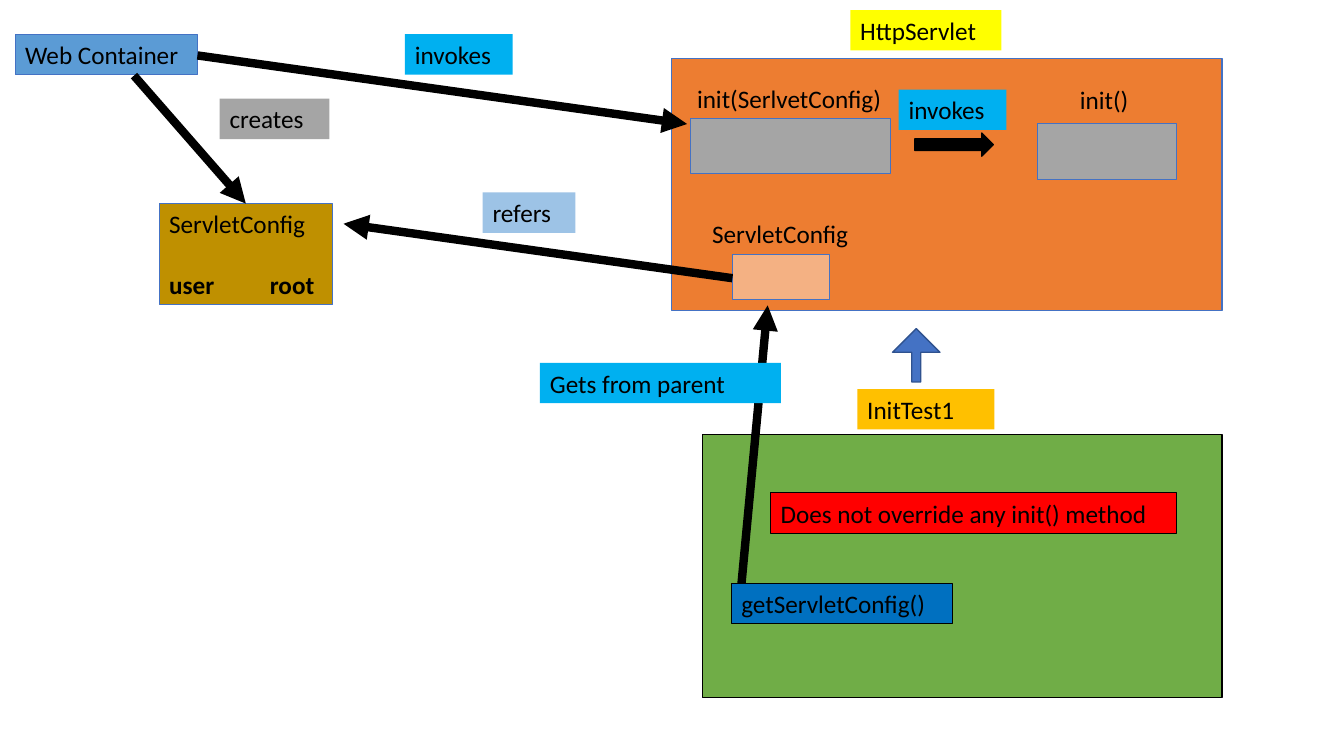
from dataclasses import dataclass

from lxml.etree import SubElement
from pptx import Presentation
from pptx.dml.color import RGBColor
from pptx.enum.shapes import MSO_CONNECTOR, MSO_SHAPE
from pptx.enum.text import MSO_ANCHOR, PP_ALIGN
from pptx.oxml.ns import qn
from pptx.util import Inches, Pt


@dataclass(frozen=True)
class Theme:
    font: str = "Calibri"
    text_size: float = 18
    line_gap: float = 22
    outline: float = 0.75
    arrow_outline: float = 1
    arrow_width: float = 6
    label_height: float = 0.4
    black: str = "000000"
    blue: str = "4472C4"
    dark_blue: str = "2F528F"
    deep_blue: str = "0070C0"
    sky: str = "00B0F0"
    steel: str = "5B9BD5"
    pale_blue: str = "9DC3E6"
    gray: str = "A5A5A5"
    orange: str = "ED7D31"
    peach: str = "F4B183"
    yellow: str = "FFFF00"
    amber: str = "FFC000"
    gold: str = "BF9000"
    green: str = "70AD47"
    red: str = "FF0000"


THEME = Theme()


def color(value):
    return RGBColor.from_string(value)


def add_block(page, left, top, width, height, fill, line=None,
              kind=MSO_SHAPE.RECTANGLE, line_width=THEME.outline):
    block = page.shapes.add_shape(
        kind, Inches(left), Inches(top), Inches(width), Inches(height))
    block.shadow.inherit = False
    block.fill.solid()
    block.fill.fore_color.rgb = color(fill)
    if line:
        block.line.color.rgb = color(line)
        block.line.width = Pt(line_width)
    else:
        block.line.fill.background()
    return block


def write(para, text, bold=False):
    para.alignment = PP_ALIGN.LEFT
    span = para.add_run()
    span.text = text
    span.font.name = THEME.font
    span.font.size = Pt(THEME.text_size)
    span.font.bold = bold
    span.font.color.rgb = color(THEME.black)


def add_label(page, text, left, top, width, fill=None, line=None,
              height=THEME.label_height):
    """Add a line of text, on a filled block when a fill is given."""
    if fill:
        box = add_block(page, left, top, width, height, fill, line)
    else:
        box = page.shapes.add_textbox(
            Inches(left), Inches(top), Inches(width), Inches(height))
    frame = box.text_frame
    frame.word_wrap = True
    frame.vertical_anchor = MSO_ANCHOR.TOP
    write(frame.paragraphs[0], text)
    return box


def add_parameter(box, name, value):
    """Add a bold name and value, one line below the heading of the box."""
    para = box.text_frame.add_paragraph()
    para.space_before = Pt(THEME.line_gap)
    write(para, f"{name}\t{value}", bold=True)
    tabs = SubElement(para._p.get_or_add_pPr(), qn("a:tabLst"))
    SubElement(tabs, qn("a:tab"), pos=str(Inches(1)), algn="l")


def add_arrow(page, start, end):
    arrow = page.shapes.add_connector(
        MSO_CONNECTOR.STRAIGHT, *map(Inches, start + end))
    arrow.line.color.rgb = color(THEME.black)
    arrow.line.width = Pt(THEME.arrow_width)
    SubElement(arrow.line._get_or_add_ln(), qn("a:tailEnd"), type="triangle")
    SubElement(arrow._element.spPr, qn("a:effectLst"))


def add_parent_class(page):
    add_block(page, 6.67, 0.58, 5.46, 2.5, THEME.orange, THEME.blue)
    add_label(page, "HttpServlet", 8.44, 0.1, 1.5, THEME.yellow)
    add_block(page, 10.3, 1.23, 1.38, 0.55, THEME.gray, THEME.blue)
    add_label(page, "init()", 10.62, 0.79, 0.88)
    add_block(page, 7.27, 2.53, 0.96, 0.44, THEME.peach, THEME.blue)
    add_label(page, "ServletConfig", 6.97, 2.12, 1.74)
    add_block(page, 6.85, 1.18, 1.99, 0.54, THEME.gray, THEME.blue)
    add_label(page, "init(SerlvetConfig)", 6.82, 0.78, 2.28)
    add_block(page, 9.08, 1.32, 0.78, 0.23, THEME.black, THEME.black,
              MSO_SHAPE.RIGHT_ARROW, THEME.arrow_outline)
    add_label(page, "invokes", 8.92, 0.89, 1.07, THEME.sky)


def add_child_class(page):
    add_block(page, 6.97, 4.31, 5.16, 2.61, THEME.green, THEME.black)
    add_label(page, "InitTest1", 8.51, 3.86, 1.36, THEME.amber)
    inherits = add_block(page, 8.86, 3.26, 0.47, 0.53, THEME.blue,
                         THEME.dark_blue, MSO_SHAPE.UP_ARROW,
                         THEME.arrow_outline)
    inherits.adjustments[0] = 0.19
    add_label(page, "Does not override any init() method",
              7.65, 4.89, 4.03, THEME.red, THEME.black)
    add_label(page, "getServletConfig()", 7.26, 5.79, 2.19,
              THEME.deep_blue, THEME.black)


def add_container(page):
    add_label(page, "Web Container", 0.15, 0.34, 1.81,
              THEME.steel, THEME.blue)
    config = add_label(page, "ServletConfig", 1.58, 2.02, 1.72,
                       THEME.gold, THEME.blue, height=1)
    add_parameter(config, "user", "root")


def add_relations(page):
    relations = [
        ((1.33, 0.75), (2.44, 2.02), "creates", 2.18, 0.98, 1.09, THEME.gray),
        ((1.96, 0.55), (6.82, 1.23), "invokes", 4.02, 0.34, 1.07, THEME.sky),
        ((7.27, 2.76), (3.41, 2.22), "refers", 4.79, 1.91, 0.92,
         THEME.pale_blue),
        ((7.36, 5.79), (7.62, 3.03), "Gets from parent", 5.36, 3.6, 2.39,
         THEME.sky),
    ]
    for start, end, text, left, top, width, fill in relations:
        add_arrow(page, start, end)
        add_label(page, text, left, top, width, fill)


def main():
    deck = Presentation()
    deck.slide_width = Inches(13.34)
    deck.slide_height = Inches(7.5)
    page = deck.slides.add_slide(deck.slide_layouts[6])
    add_parent_class(page)
    add_child_class(page)
    add_container(page)
    add_relations(page)
    deck.save("out.pptx")


if __name__ == "__main__":
    main()
